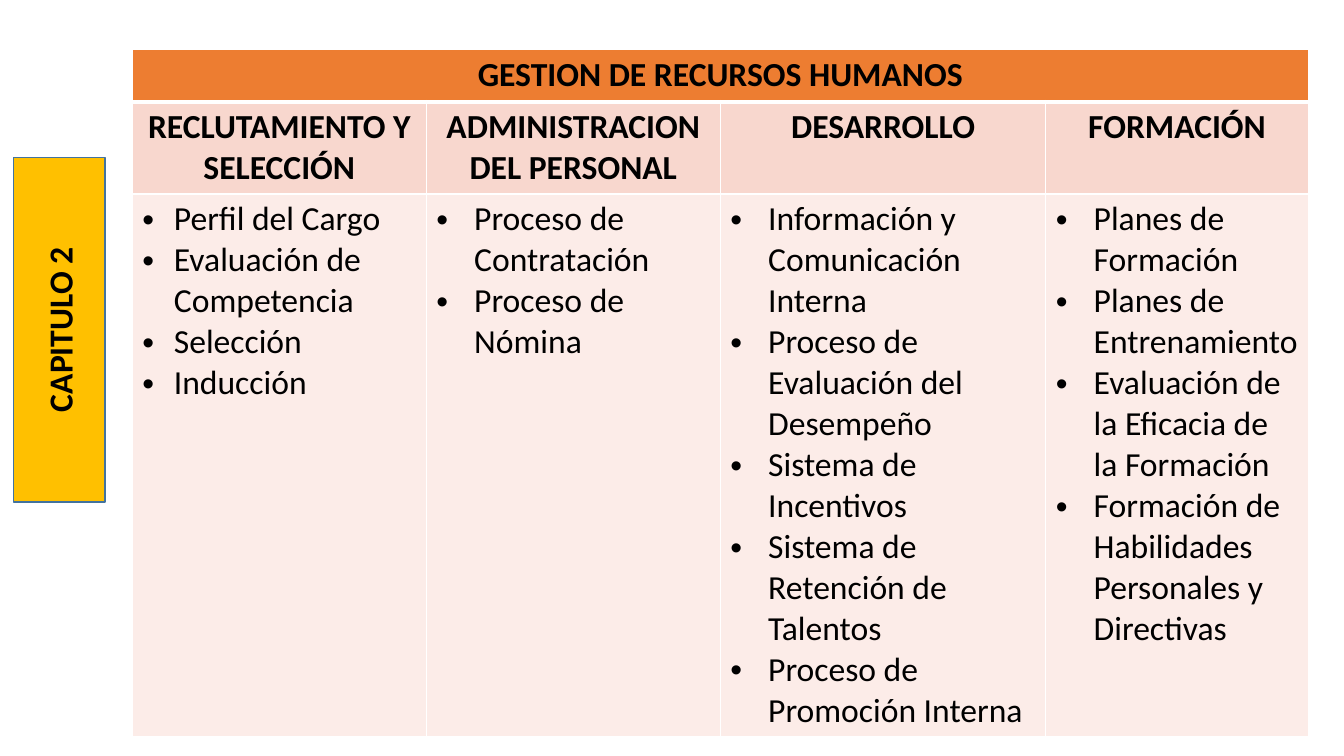
from lxml import etree
from pptx import Presentation
from pptx import util as u
from pptx.dml.color import RGBColor
from pptx.enum import shapes, text
from pptx.oxml import ns

PX = 9525  # 96 px to the inch
COLORS = {
    "ink": "000000", "white": "FFFFFF", "tab": "FFC000", "edge": "43739E",
    "title": "ED7D31", "head": "F8D7CE", "body": "FCECE8",
}
TITLE = "GESTION DE RECURSOS HUMANOS"
# heading, width, bullet indent, items
AREAS = [
    ("RECLUTAMIENTO Y SELECCIÓN", 280, 30,
     ["Perfil del Cargo", "Evaluación de Competencia", "Selección", "Inducción"]),
    ("ADMINISTRACION DEL PERSONAL", 280, 36,
     ["Proceso de Contratación", "Proceso de Nómina"]),
    ("DESARROLLO", 310, 36,
     ["Información y Comunicación Interna",
      "Proceso de Evaluación del Desempeño", "Sistema de Incentivos",
      "Sistema de Retención de Talentos", "Proceso de Promoción Interna"]),
    ("FORMACIÓN", 250, 36,
     ["Planes de Formación", "Planes de Entrenamiento",
      "Evaluación de la Eficacia de la Formación",
      "Formación de Habilidades Personales y Directivas"]),
]
ROWS = [50, 87, 517]


def px(n):
    return u.Emu(round(n * PX))


def rgb(name):
    return RGBColor.from_string(COLORS[name])


def style(par, bold=True):
    """Headings are bold and centred; list items are plain and left."""
    par.alignment = text.PP_ALIGN.CENTER if bold else text.PP_ALIGN.LEFT
    for run in par.runs:
        run.font.name = "Calibri"
        run.font.size = u.Pt(24)
        run.font.bold = bold
        run.font.color.rgb = rgb("ink")


def bullet(par, indent):
    props = par._p.get_or_add_pPr()
    props.set("marL", str(px(indent)))
    props.set("indent", str(-px(indent)))
    font = etree.SubElement(props, ns.qn("a:buFont"))
    font.set("typeface", "Arial")
    etree.SubElement(props, ns.qn("a:buChar")).set("char", "•")


def border(cell, top=1, bottom=1):
    props = cell._tc.get_or_add_tcPr()
    sides = [("L", 1), ("R", 1), ("T", top), ("B", bottom)]
    for spot, (side, width) in enumerate(sides):
        line = etree.Element(ns.qn("a:ln" + side), w=str(u.Pt(width)))
        fill = etree.SubElement(line, ns.qn("a:solidFill"))
        etree.SubElement(fill, ns.qn("a:srgbClr")).set("val", COLORS["white"])
        props.insert(spot, line)


def paint(cell, color, **edges):
    cell.fill.solid()
    cell.fill.fore_color.rgb = rgb(color)
    border(cell, **edges)


def head(cell, words):
    cell.text_frame.text = words
    style(cell.text_frame.paragraphs[0])


def items(cell, words, indent):
    cell.text_frame.text = "\n".join(words)
    for par in cell.text_frame.paragraphs:
        bullet(par, indent)
        style(par, bold=False)


def side_tab(slide, left, top, width, height):
    """Upright tab, drawn as a wide box turned a quarter to the left."""
    shift = (height - width) / 2
    tab = slide.shapes.add_shape(
        shapes.MSO_SHAPE.RECTANGLE,
        px(left - shift), px(top + shift), px(height), px(width))
    tab.rotation = 270
    tab.shadow.inherit = False
    tab.fill.solid()
    tab.fill.fore_color.rgb = rgb("tab")
    tab.line.color.rgb = rgb("edge")
    tab.line.width = u.Pt(1)
    frame = tab.text_frame
    frame.text = "CAPITULO 2"
    frame.vertical_anchor = text.MSO_ANCHOR.MIDDLE
    style(frame.paragraphs[0])


def area_table(slide, left, top, width, height):
    grid = slide.shapes.add_table(
        len(ROWS), len(AREAS), px(left), px(top), px(width), px(height)).table
    for row, size in zip(grid.rows, ROWS):
        row.height = px(size)
    for col, (name, size, indent, words) in enumerate(AREAS):
        grid.columns[col].width = px(size)
        paint(grid.cell(0, col), "title", bottom=3)
        paint(grid.cell(1, col), "head", top=3)
        paint(grid.cell(2, col), "body")
        head(grid.cell(1, col), name)
        items(grid.cell(2, col), words, indent)
    grid.cell(0, 0).merge(grid.cell(0, len(AREAS) - 1))
    head(grid.cell(0, 0), TITLE)


def main():
    deck = Presentation()
    deck.slide_width, deck.slide_height = px(1280), px(720)
    slide = deck.slides.add_slide(deck.slide_layouts[6])
    side_tab(slide, 13, 150, 87, 328)
    area_table(slide, 126, 47, sum(area[1] for area in AREAS), sum(ROWS))
    deck.save("out.pptx")


if __name__ == "__main__":
    main()
